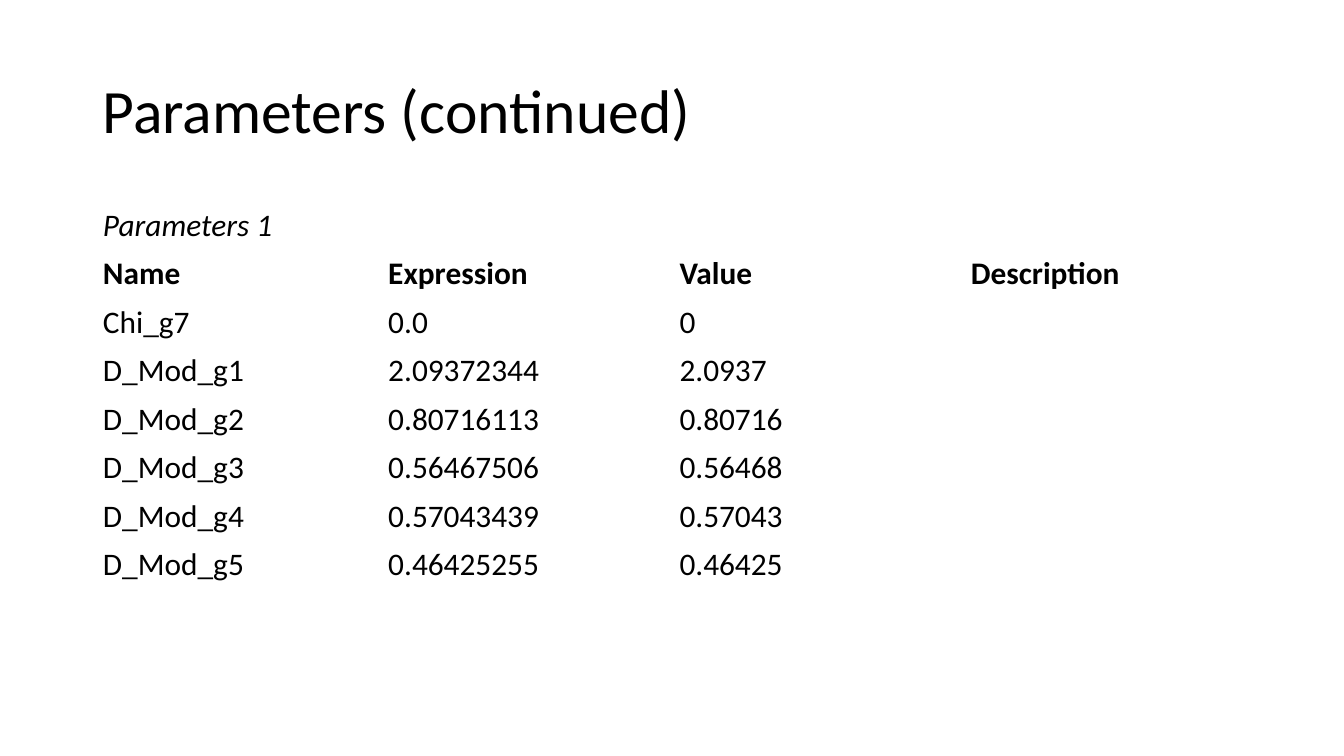
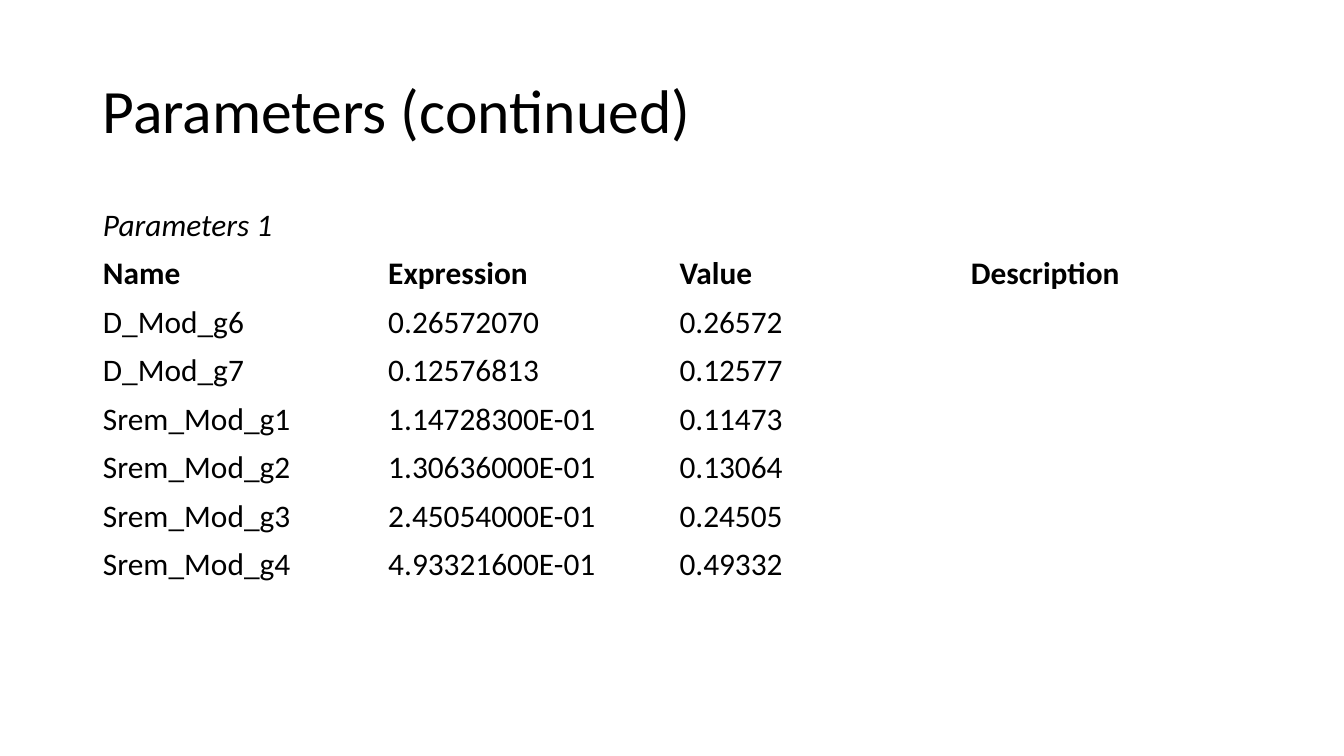
from pptx import Presentation
from pptx import util as u
from pptx.dml import color
from pptx.enum import text

BLACK = color.RGBColor(0x00, 0x00, 0x00)
FONT = "Calibri"
LEFT = u.Cm(2.34)
COLUMN_WIDTHS = [7.19, 7.34, 7.34, 7.34]
ROW_HEIGHT = 1.22
TITLE = "Parameters (continued)"
CAPTION = "Parameters 1"
HEADINGS = ("Name", "Expression", "Value", "Description")

PARAMETER_PAGES = [
    [
        ("Chi_g7", "0.0", "0"),
        ("D_Mod_g1", "2.09372344", "2.0937"),
        ("D_Mod_g2", "0.80716113", "0.80716"),
        ("D_Mod_g3", "0.56467506", "0.56468"),
        ("D_Mod_g4", "0.57043439", "0.57043"),
        ("D_Mod_g5", "0.46425255", "0.46425"),
    ],
    [
        ("D_Mod_g6", "0.26572070", "0.26572"),
        ("D_Mod_g7", "0.12576813", "0.12577"),
        ("Srem_Mod_g1", "1.14728300E-01", "0.11473"),
        ("Srem_Mod_g2", "1.30636000E-01", "0.13064"),
        ("Srem_Mod_g3", "2.45054000E-01", "0.24505"),
        ("Srem_Mod_g4", "4.93321600E-01", "0.49332"),
    ],
]


def add_run(paragraph, words, size, bold=False, italic=False):
    run = paragraph.add_run()
    run.text = words
    run.font.name = FONT
    run.font.size = u.Pt(size)
    run.font.bold = bold
    run.font.italic = italic
    run.font.color.rgb = BLACK


presentation = Presentation()
presentation.slide_width = u.Cm(33.87)
presentation.slide_height = u.Cm(19.05)

for parameters in PARAMETER_PAGES:
    slide = presentation.slides.add_slide(presentation.slide_layouts[6])

    title = slide.shapes.add_textbox(LEFT, u.Cm(1.02), u.Cm(29.21), u.Cm(3.68))
    title.text_frame.word_wrap = True
    title.text_frame.vertical_anchor = text.MSO_ANCHOR.MIDDLE
    paragraph = title.text_frame.paragraphs[0]
    paragraph.line_spacing = 0.9
    add_run(paragraph, TITLE, 44)

    rows = [(CAPTION,), HEADINGS] + parameters
    table = slide.shapes.add_table(
        len(rows), len(COLUMN_WIDTHS), LEFT, u.Cm(5.08),
        u.Cm(sum(COLUMN_WIDTHS)), u.Cm(ROW_HEIGHT * len(rows)),
    ).table
    table.first_row = False
    table.horz_banding = False
    for column, width in zip(table.columns, COLUMN_WIDTHS):
        column.width = u.Cm(width)
    for cell in table.iter_cells():
        cell.fill.background()
    table.cell(0, 0).merge(table.cell(0, len(COLUMN_WIDTHS) - 1))

    for row_index, row in enumerate(rows):
        table.rows[row_index].height = u.Cm(ROW_HEIGHT)
        for column_index, words in enumerate(row):
            paragraph = table.cell(row_index, column_index).text_frame.paragraphs[0]
            add_run(paragraph, words, 22.4, bold=row_index == 1, italic=row_index == 0)

presentation.save("out.pptx")
